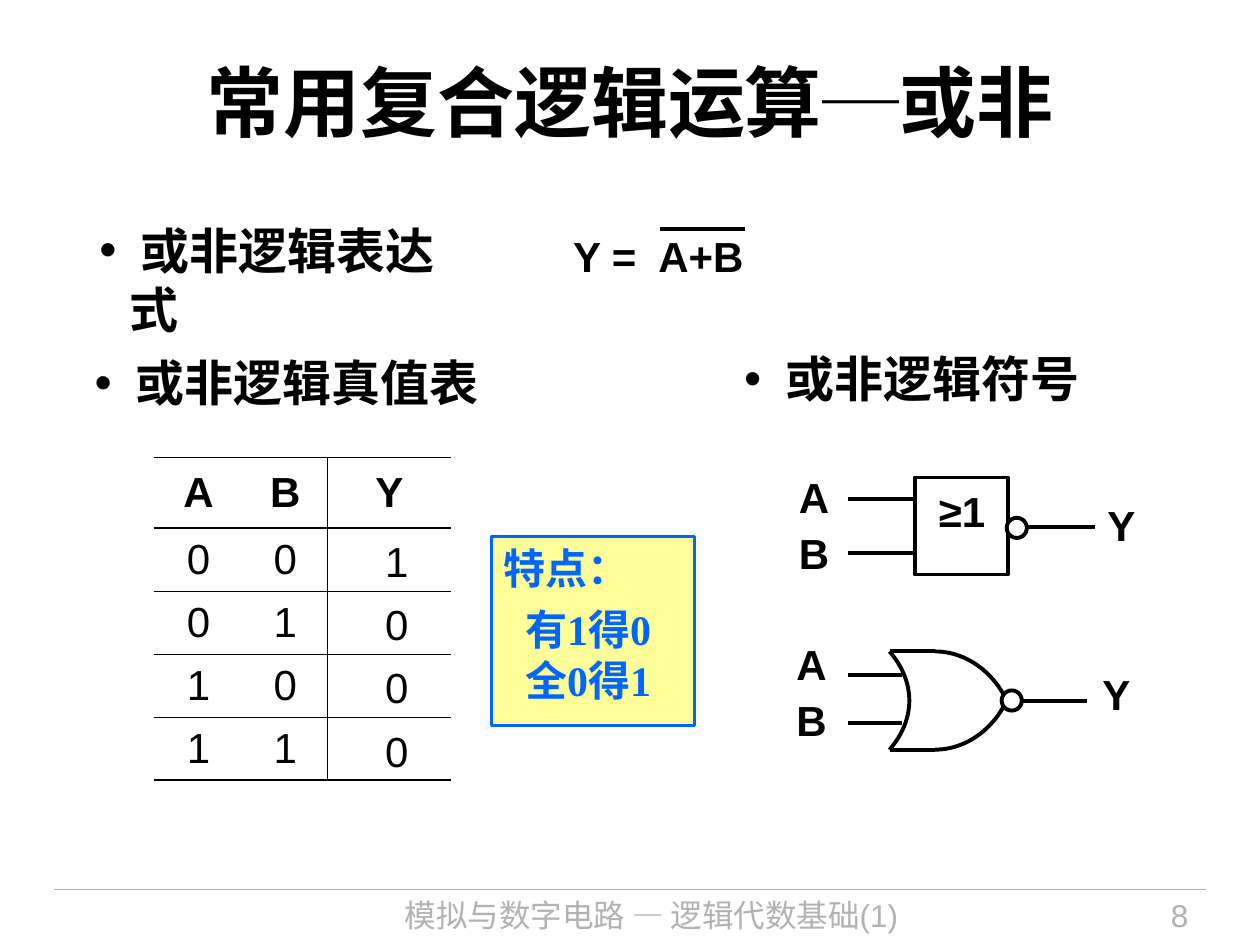
from lxml.etree import SubElement
from pptx import Presentation
from pptx.dml.color import RGBColor
from pptx.enum.shapes import MSO_CONNECTOR, MSO_SHAPE
from pptx.enum.text import MSO_ANCHOR, PP_ALIGN
from pptx.oxml import parse_xml
from pptx.oxml.ns import nsdecls, qn
from pptx.util import Inches, Pt

BLACK = RGBColor(0x00, 0x00, 0x00)
WHITE = RGBColor(0xFF, 0xFF, 0xFF)
GRAY = RGBColor(0xB2, 0xB2, 0xB2)
BLUE = RGBColor(0x00, 0x66, 0xFF)
YELLOW = RGBColor(0xFF, 0xFF, 0x99)
SANS, SERIF = "Arial", "Times New Roman"
LEFT, CENTER, RIGHT = PP_ALIGN.LEFT, PP_ALIGN.CENTER, PP_ALIGN.RIGHT
WIRE, THICK, THIN = 2.24, 1.08, 0.45
NO_STYLE = "{2D5ABB26-0587-4C30-8999-92F81FD0307C}"

prs = Presentation()
prs.slide_width, prs.slide_height = Inches(10), Inches(7.5)
slide = prs.slides.add_slide(prs.slide_layouts[6])
shapes = slide.shapes

# The slide is a grid of 100 columns by 75 rows
COL, ROW = prs.slide_width / 100, prs.slide_height / 75


def grid(x, y, w, h):
    return round(x * COL), round(y * ROW), round(w * COL), round(h * ROW)


def add_run(p, text, size, color=BLACK, bold=True, font=SANS):
    r = p.add_run()
    r.text = text
    r.font.size, r.font.bold, r.font.name = Pt(size), bold, font
    r.font.color.rgb = color


def add_text(box, text, size=24, color=BLACK, bold=True, align=LEFT, inset=True):
    tf = shapes.add_textbox(*grid(*box)).text_frame
    tf.word_wrap = True
    p = tf.paragraphs[0]
    p.alignment = align
    if not inset:
        tf.margin_left = tf.margin_right = tf.margin_top = tf.margin_bottom = 0
        p.line_spacing = 0.9
    if text:
        add_run(p, text, size, color, bold)
    return tf


def add_line(x1, y1, x2, y2, color=BLACK, width=WIRE):
    ln = shapes.add_connector(MSO_CONNECTOR.STRAIGHT, *grid(x1, y1, x2, y2))
    ln.line.color.rgb, ln.line.width = color, Pt(width)
    SubElement(ln._element.spPr, qn("a:effectLst"))


def style_shape(sp, fill=None, color=BLACK, width=WIRE):
    sp.shadow.inherit = False
    if fill is None:
        sp.fill.background()
    else:
        sp.fill.solid()
        sp.fill.fore_color.rgb = fill
    sp.line.color.rgb, sp.line.width = color, Pt(width)


def add_curve(p0, p1, p2, p3, steps=24):
    points = []
    for i in range(steps + 1):
        t = i / steps
        weights = ((1 - t) ** 3, 3 * t * (1 - t) ** 2, 3 * t * t * (1 - t), t ** 3)
        points.append(tuple(round(sum(k * p[axis] * unit for k, p in zip(weights, (p0, p1, p2, p3))))
                            for axis, unit in ((0, COL), (1, ROW))))
    fb = shapes.build_freeform(*points[0])
    fb.add_line_segments(points[1:], close=False)
    style_shape(fb.convert_to_shape())


def bullet(box, text, align=LEFT, inset=True):
    p = add_text(box, text, 28, align=align, inset=inset).paragraphs[0]
    pPr = p._p.get_or_add_pPr()
    pPr.set("marL", str(Inches(0.24)))
    pPr.set("indent", str(-Inches(0.24)))
    SubElement(pPr, qn("a:buFont"), typeface=SANS)
    SubElement(pPr, qn("a:buChar"), char="•")


def footer(x, y, w):
    add_line(x, y, x + w, y, GRAY, 0.74)
    add_text((x + 20.6, y, 53.6, 4.4), "模拟与数字电路 — 逻辑代数基础(1)", 18, GRAY, False, CENTER)
    add_text((x + 77.7, y, 13.3, 4.4), "8", 18, GRAY, False, RIGHT)


def title(box):
    tf = add_text(box, "", align=CENTER)
    tf.vertical_anchor = MSO_ANCHOR.MIDDLE
    for text, font in (("常用复合逻辑运算", SANS), ("─", SERIF), ("或非", SANS)):
        add_run(tf.paragraphs[0], text, 44, font=font)


def formula(x, y):
    add_text((x, y, 20.2, 5), "Y =  A+B")
    add_line(x + 7.9, y + 0.4, x + 14.6, y + 0.4)


def feature_note(box):
    sp = shapes.add_shape(MSO_SHAPE.RECTANGLE, *grid(*box))
    style_shape(sp, YELLOW, BLUE, 1.5)
    tf = sp.text_frame
    tf.word_wrap, tf.vertical_anchor = False, MSO_ANCHOR.TOP
    for i, text in enumerate(("特点：", "有1得0", "全0得1")):
        p = tf.add_paragraph() if i else tf.paragraphs[0]
        p.alignment = LEFT
        if i:
            p._p.get_or_add_pPr().set("marL", str(Inches(0.17)))
        if i == 1:
            p.space_before = Pt(6)
        add_run(p, text, 24, BLUE, font=SERIF)


# Tables
def set_borders(cell, **widths):
    tcPr = cell._tc.get_or_add_tcPr()
    sides = [s for s in "LRTB" if s in widths]
    for i, side in enumerate(sides):
        tcPr.insert(i, parse_xml(
            f'<a:ln{side} {nsdecls("a")} w="{Pt(widths[side])}"><a:solidFill>'
            f'<a:srgbClr val="{BLACK}"/></a:solidFill></a:ln{side}>'))


def add_table(x, y, cols, heights, rows):
    box = grid(x, y, sum(cols), sum(heights))
    tbl = shapes.add_table(len(rows), len(cols), *box).table
    tbl.first_row = tbl.horz_banding = False
    tbl._tbl.tblPr.find(qn("a:tableStyleId")).text = NO_STYLE
    for column, w in zip(tbl.columns, cols):
        column.width = round(w * COL)
    for row, h, texts in zip(tbl.rows, heights, rows):
        row.height = round(h * ROW)
        for cell, text in zip(row.cells, texts):
            cell.fill.background()
            cell.vertical_anchor = MSO_ANCHOR.MIDDLE
            p = cell.text_frame.paragraphs[0]
            p.alignment, p.space_after = CENTER, Pt(6)
            if text:
                add_run(p, text, 24, bold=text.isalpha())
    return tbl


def truth_table(x, y):
    inputs = [(a, b, "") for a in "01" for b in "01"]
    tbl = add_table(x, y, (7.1, 6.7, 9.8), [5.6] + [4.1] * 4, [("A", "B", "Y")] + inputs)
    rules = [THICK, THICK, THIN, THIN, THIN, THICK]
    for i in range(5):
        for j, side in enumerate(({}, {"R": THICK}, {"L": THICK})):
            set_borders(tbl.cell(i, j), T=rules[i], B=rules[i + 1], **side)
    # Output values
    add_table(x + 14.6, y + 5.9, [9.4], [4] * 4, ["1", "0", "0", "0"])


# Gate symbols
def terminals(x, y, b_y, leads, lead_x, bubble, out, y_label):
    labels = (("A", 0, 0), ("B", 0, b_y), ("Y", *y_label))
    for text, dx, dy in labels:
        add_text((x + dx, y + dy, 2.4, 3.6), text, align=CENTER, inset=False)
    for dy in leads:
        add_line(x + lead_x[0], y + dy, x + lead_x[1], y + dy)
    add_line(x + out[0], y + out[2], x + out[1], y + out[2])
    sp = shapes.add_shape(MSO_SHAPE.OVAL, *grid(x + bubble[0], y + bubble[1], 1.6, 1.6))
    style_shape(sp, WHITE)


def block_gate(x, y):
    add_text((x + 10.2, y + 1.1, 5.5, 3.6), "≥1", align=CENTER, inset=False)
    style_shape(shapes.add_shape(MSO_SHAPE.RECTANGLE, *grid(x + 9.2, y, 7.4, 7.7)))
    terminals(x, y, 4.4, (1.7, 6), (3.9, 9.2), (16.5, 3.2), (18.2, 23.5, 3.9), (24.4, 2.2))


def curved_gate(x, y):
    back, shoulder, tip = x + 7.4, x + 11, x + 16.7
    top, middle, bottom = y + 0.6, y + 4.5, y + 8.4
    for edge in (top, bottom):
        add_line(back, edge, shoulder, edge)
        add_curve((shoulder, edge), (x + 13.4, edge),
                  (x + 15.6, edge + 0.4 * (middle - edge)), (tip, middle))
    bulge = x + 9.5
    add_curve((back, top), (bulge, top + 2.4), (bulge, bottom - 2.4), (back, bottom))
    terminals(x, y, 4.5, (2.5, 6.3), (4.1, 8.4), (16.3, 3.7), (17.9, 23.1, 4.5), (24.2, 2.4))


footer(4.3, 70.6, 91.4)
title((5, 1.7, 90, 12.5))
bullet((7.5, 28.5, 34.5, 4.2), " 或非逻辑真值表", inset=False)
bullet((6.9, 17, 31.4, 5.7), " 或非逻辑表达式")
formula(44.5, 17.8)
feature_note((39, 42.6, 16.1, 15))
bullet((57.9, 28.2, 28.9, 4.2), " 或非逻辑符号", CENTER, inset=False)
curved_gate(63.2, 51.1)
block_gate(63.4, 37.9)
truth_table(12.2, 36.3)

prs.save("out.pptx")
